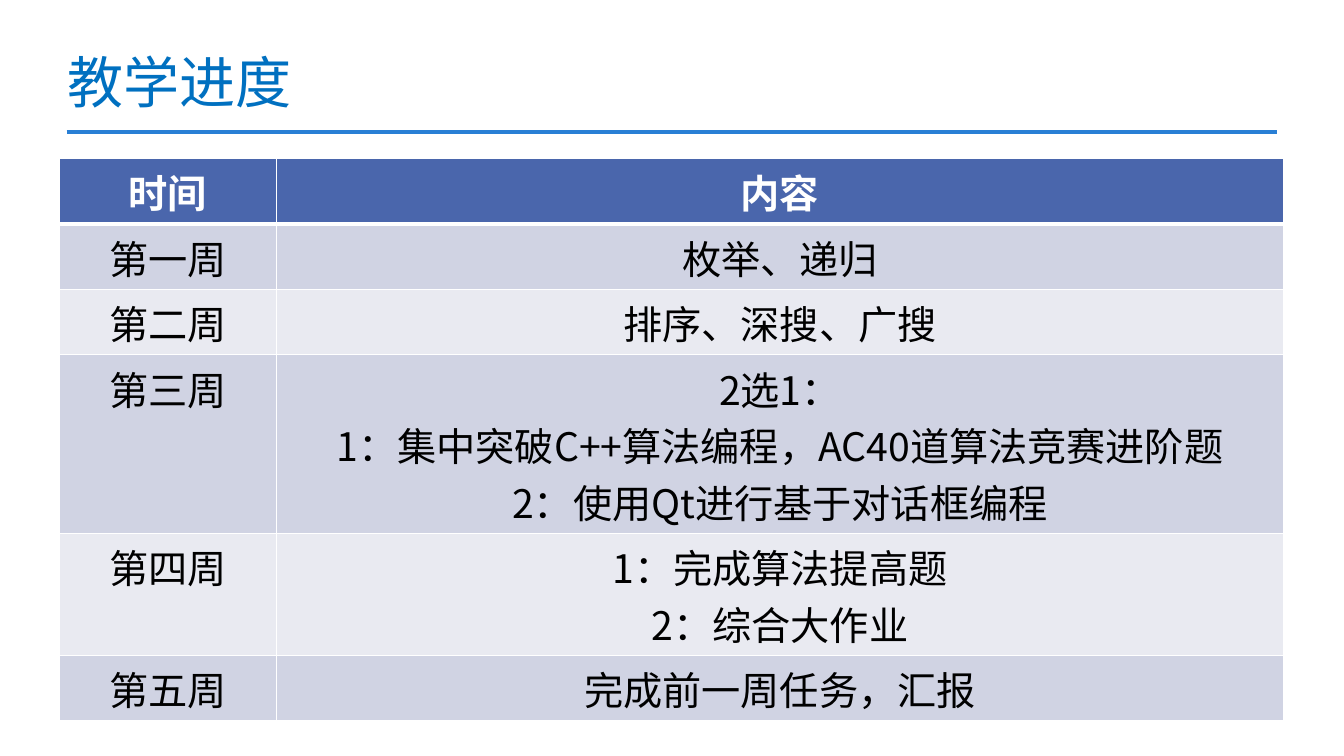
from lxml.etree import SubElement
from pptx import Presentation
from pptx.dml.color import RGBColor
from pptx.enum.shapes import MSO_CONNECTOR
from pptx.enum.text import MSO_ANCHOR, PP_ALIGN
from pptx.oxml.ns import qn
from pptx.util import Inches, Pt

WHITE = RGBColor(0xFF, 0xFF, 0xFF)
BLACK = RGBColor(0x00, 0x00, 0x00)
TITLE_BLUE = RGBColor(0x00, 0x70, 0xC0)
RULE_BLUE = RGBColor(0x29, 0x7F, 0xD5)
HEADER_BLUE = RGBColor(0x4A, 0x66, 0xAC)
BANDS = (RGBColor(0xE9, 0xEA, 0xF1), RGBColor(0xD0, 0xD3, 0xE3))

SCHEDULE = [
    ("时间", ["内容"]),
    ("第一周", ["枚举、递归"]),
    ("第二周", ["排序、深搜、广搜"]),
    ("第三周", ["2选1：", "1：集中突破C++算法编程，AC40道算法竞赛进阶题",
             "2：使用Qt进行基于对话框编程"]),
    ("第四周", ["1：完成算法提高题", "2：综合大作业"]),
    ("第五周", ["完成前一周任务，汇报"]),
]


class SlideBuilder:
    font_name = "Noto Sans CJK SC"

    def __init__(self, page):
        self.page = page

    def add_lines(self, frame, lines, size, color, bold=False, align=PP_ALIGN.LEFT):
        for number, line in enumerate(lines):
            para = frame.add_paragraph() if number else frame.paragraphs[0]
            para.alignment = align
            span = para.add_run()
            span.text = line
            font = span.font
            font.name, font.size, font.bold = self.font_name, Pt(size), bold
            font.color.rgb = color
            SubElement(span._r.get_or_add_rPr(), qn("a:ea"), typeface=self.font_name)

    def title(self, text, left, top, width, height):
        box = self.page.shapes.add_textbox(
            Inches(left), Inches(top), Inches(width), Inches(height))
        frame = box.text_frame
        frame.word_wrap = True
        frame.vertical_anchor = MSO_ANCHOR.BOTTOM
        self.add_lines(frame, [text], 40, TITLE_BLUE)

    def rule(self, left, right, y):
        line = self.page.shapes.add_connector(
            MSO_CONNECTOR.STRAIGHT, Inches(left), Inches(y), Inches(right), Inches(y))
        line.line.color.rgb = RULE_BLUE
        line.line.width = Pt(3)
        SubElement(line._element.spPr, qn("a:effectLst"))

    def borders(self, cell, top, bottom):
        """Draw white cell borders; top and bottom are widths in points."""
        properties = cell._tc.get_or_add_tcPr()
        for side, width in (("L", 1), ("R", 1), ("T", top), ("B", bottom)):
            edge = SubElement(properties, qn(f"a:ln{side}"), w=str(Pt(width)))
            fill = SubElement(edge, qn("a:solidFill"))
            SubElement(fill, qn("a:srgbClr"), val=str(WHITE))

    def table(self, rows, left, top, widths):
        heights = [0.09 + 0.56 * len(lines) for _, lines in rows]
        table = self.page.shapes.add_table(
            len(rows), len(widths), Inches(left), Inches(top),
            Inches(sum(widths)), Inches(sum(heights))).table
        for column, width in zip(table.columns, widths):
            column.width = Inches(width)
        for index, (week, lines) in enumerate(rows):
            table.rows[index].height = Inches(heights[index])
            header = index == 0
            for column, content in enumerate(([week], lines)):
                cell = table.cell(index, column)
                self.borders(cell, 3 if index == 1 else 1, 3 if header else 1)
                cell.fill.solid()
                cell.fill.fore_color.rgb = HEADER_BLUE if header else BANDS[index % 2]
                self.add_lines(cell.text_frame, content, 28, WHITE if header else BLACK,
                               header, PP_ALIGN.CENTER)


def main():
    deck = Presentation()
    deck.slide_width, deck.slide_height = Inches(13.33), Inches(7.5)
    builder = SlideBuilder(deck.slides.add_slide(deck.slide_layouts[6]))
    builder.rule(0.66, 12.67, 1.31)
    builder.title("教学进度", 0.57, 0.49, 8.65, 0.7)
    builder.table(SCHEDULE, 0.59, 1.57, (2.15, 9.99))
    deck.save("out.pptx")


if __name__ == "__main__":
    main()
